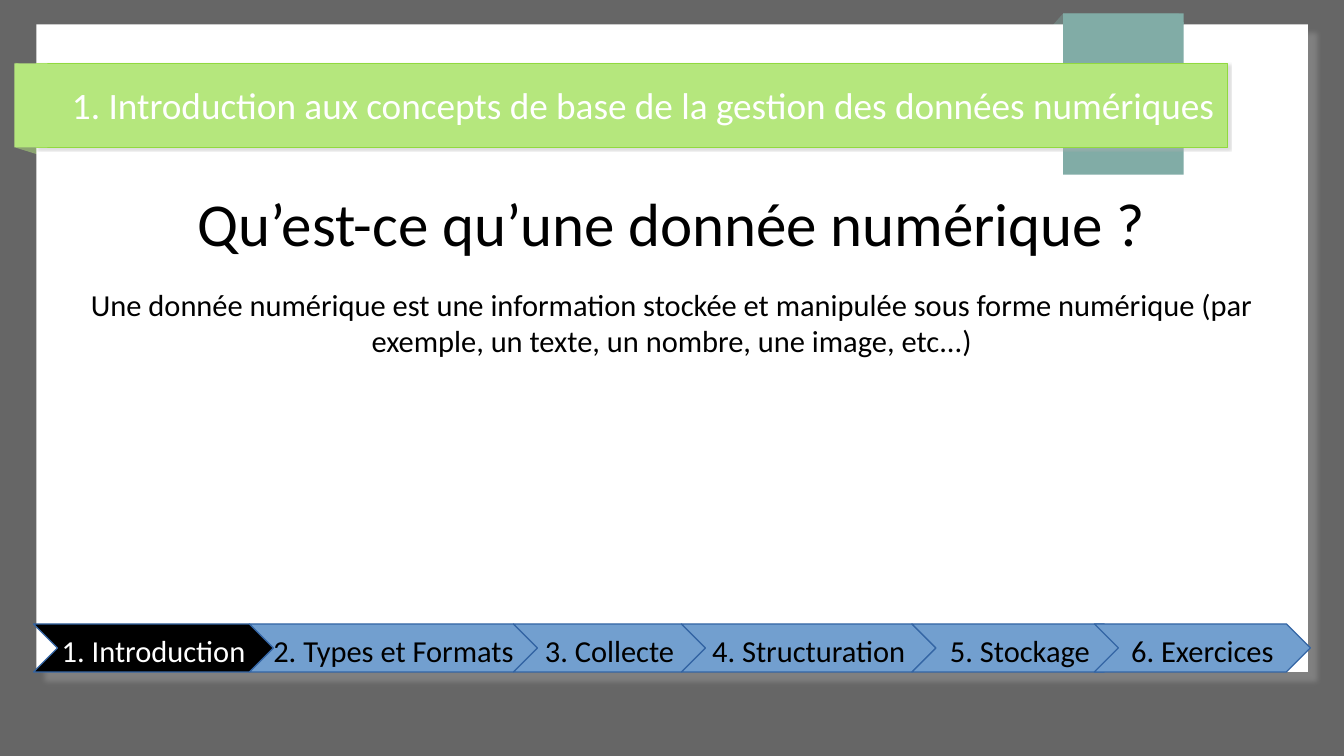
from dataclasses import dataclass
from typing import Optional

from lxml import etree
from pptx import Presentation
from pptx.dml.color import RGBColor
from pptx.enum.shapes import MSO_SHAPE
from pptx.enum.text import MSO_ANCHOR, PP_ALIGN
from pptx.oxml.ns import qn
from pptx.util import Cm, Pt

RECTANGLE = MSO_SHAPE.RECTANGLE
PARALLELOGRAM = MSO_SHAPE.PARALLELOGRAM
CHEVRON = MSO_SHAPE.CHEVRON
MIDDLE = MSO_ANCHOR.MIDDLE
LEFT, CENTER = PP_ALIGN.LEFT, PP_ALIGN.CENTER

FONT = "Calibri"
COLORS = {
    "backdrop": "666666",
    "white": "FFFFFF",
    "black": "000000",
    "green": "B5E77D",
    "green_line": "91D93F",
    "teal": "81ACA6",
    "blue": "729FCF",
    "blue_line": "3465A4",
    "page_shadow": "808080",
    "banner_shadow": "B2B2B2",
}


@dataclass
class Shadow:
    color: str
    opacity: int
    blur: float
    distance: float


@dataclass
class Panel:
    left: float
    top: float
    width: float
    height: float
    fill: str
    kind: int = RECTANGLE
    line: Optional[str] = None
    opacity: int = 100
    adjustment: Optional[float] = None
    rotation: int = 0
    shadow: Optional[Shadow] = None


@dataclass
class Caption:
    text: str
    top: float
    width: float
    size: int
    color: str = "black"
    align: int = CENTER
    spaced: bool = False


@dataclass
class Stage:
    label: str
    width: float
    overlap: float = 0.5
    current: bool = False


PANELS = [
    # Folded ends behind the page
    Panel(0.13, 1.5, 2.39, 2, "green", PARALLELOGRAM, opacity=49,
          adjustment=0.31, rotation=270),
    Panel(21.23, 0.28, 3.33, 1.04, "teal", PARALLELOGRAM, opacity=39,
          adjustment=0.885),
    # Page, ribbon and banner
    Panel(0.76, 0.51, 26.49, 13.49, "white",
          shadow=Shadow("page_shadow", 100, 3, 8)),
    Panel(22.15, 0.46, 2.51, 3.18, "teal"),
    Panel(0.76, 1.32, 24.82, 1.75, "green", line="green_line",
          shadow=Shadow("banner_shadow", 43, 1, 1.4)),
    # Ends that wrap over the page edges
    Panel(0.3, 1.32, 0.69, 1.75, "green"),
    Panel(22.15, 0.28, 2.51, 0.23, "teal"),
]

CAPTIONS = [
    Caption("1. Introduction aux concepts de base de la gestion des données numériques",
            1.24, 24, 22, "white", LEFT, spaced=True),
    Caption("Qu’est-ce qu’une donnée numérique ?", 3.76, 25, 36),
    Caption("Une donnée numérique est une information stockée et manipulée sous forme "
            "numérique (par exemple, un texte, un nombre, une image, etc...)",
            5.84, 25, 18),
]
CAPTION_LEFT, CAPTION_HEIGHT = 1.5, 1.75

STAGES = [
    Stage("1. Introduction", 5, current=True),
    Stage("2. Types et Formats", 6),
    Stage("3. Collecte", 4),
    Stage("4. Structuration", 5.3),
    Stage("5. Stockage", 4.5, overlap=0.7),
    Stage("6. Exercices", 4.5),
]
STAGE_LEFT, STAGE_TOP, STAGE_HEIGHT = 0.7, 13, 1


def rgb(name: str) -> RGBColor:
    return RGBColor.from_string(COLORS[name])


def add_alpha(color_element, opacity: int) -> None:
    etree.SubElement(color_element, qn("a:alpha"), val=str(opacity * 1000))


def add_shadow(shape, shadow: Shadow) -> None:
    effects = shape._element.spPr.find(qn("a:effectLst"))
    outer = etree.SubElement(
        effects, qn("a:outerShdw"), blurRad=str(Pt(shadow.blur)),
        dist=str(Pt(shadow.distance)), dir="2700000", algn="tl", rotWithShape="0")
    color = etree.SubElement(outer, qn("a:srgbClr"), val=COLORS[shadow.color])
    add_alpha(color, shadow.opacity)


def add_panel(page, panel: Panel):
    shape = page.shapes.add_shape(panel.kind, Cm(panel.left), Cm(panel.top),
                                  Cm(panel.width), Cm(panel.height))
    shape.shadow.inherit = False
    shape.rotation = panel.rotation
    shape.fill.solid()
    shape.fill.fore_color.rgb = rgb(panel.fill)
    if panel.opacity < 100:
        fill = shape._element.spPr.find(qn("a:solidFill"))
        add_alpha(fill.find(qn("a:srgbClr")), panel.opacity)
    if panel.line:
        shape.line.color.rgb = rgb(panel.line)
        shape.line.width = Pt(0)
    else:
        shape.line.fill.background()
    if panel.adjustment is not None:
        shape.adjustments[0] = panel.adjustment
    if panel.shadow:
        add_shadow(shape, panel.shadow)
    return shape


def write(box, text: str, size: int, color: str, align: int,
          spaced: bool, wrap: bool) -> None:
    frame = box.text_frame
    frame.text = text
    frame.word_wrap = wrap
    frame.vertical_anchor = MIDDLE
    frame.margin_left = frame.margin_right = 0
    frame.margin_top = frame.margin_bottom = 0
    para = frame.paragraphs[0]
    para.alignment = align
    if spaced:
        para.line_spacing = 1.15
        para.space_after = Pt(12.4)
    for span in para.runs:
        span.font.name = FONT
        span.font.size = Pt(size)
        span.font.color.rgb = rgb(color)


def add_caption(page, caption: Caption) -> None:
    box = page.shapes.add_textbox(Cm(CAPTION_LEFT), Cm(caption.top),
                                  Cm(caption.width), Cm(CAPTION_HEIGHT))
    write(box, caption.text, caption.size, caption.color, caption.align,
          caption.spaced, wrap=True)


def add_stages(page, stages: list[Stage]) -> None:
    left = STAGE_LEFT
    for stage in stages:
        fill, color = ("black", "white") if stage.current else ("blue", "black")
        box = add_panel(page, Panel(left, STAGE_TOP, stage.width, STAGE_HEIGHT, fill,
                                    CHEVRON, line="blue_line", adjustment=0.5))
        write(box, stage.label, 18, color, CENTER, spaced=True, wrap=False)
        left += stage.width - stage.overlap


def main() -> None:
    deck = Presentation()
    deck.slide_width, deck.slide_height = Cm(28), Cm(15.75)
    page = deck.slides.add_slide(deck.slide_layouts[6])
    page.background.fill.solid()
    page.background.fill.fore_color.rgb = rgb("backdrop")

    for panel in PANELS:
        add_panel(page, panel)
    for caption in CAPTIONS:
        add_caption(page, caption)
    add_stages(page, STAGES)
    deck.save("out.pptx")


if __name__ == "__main__":
    main()
